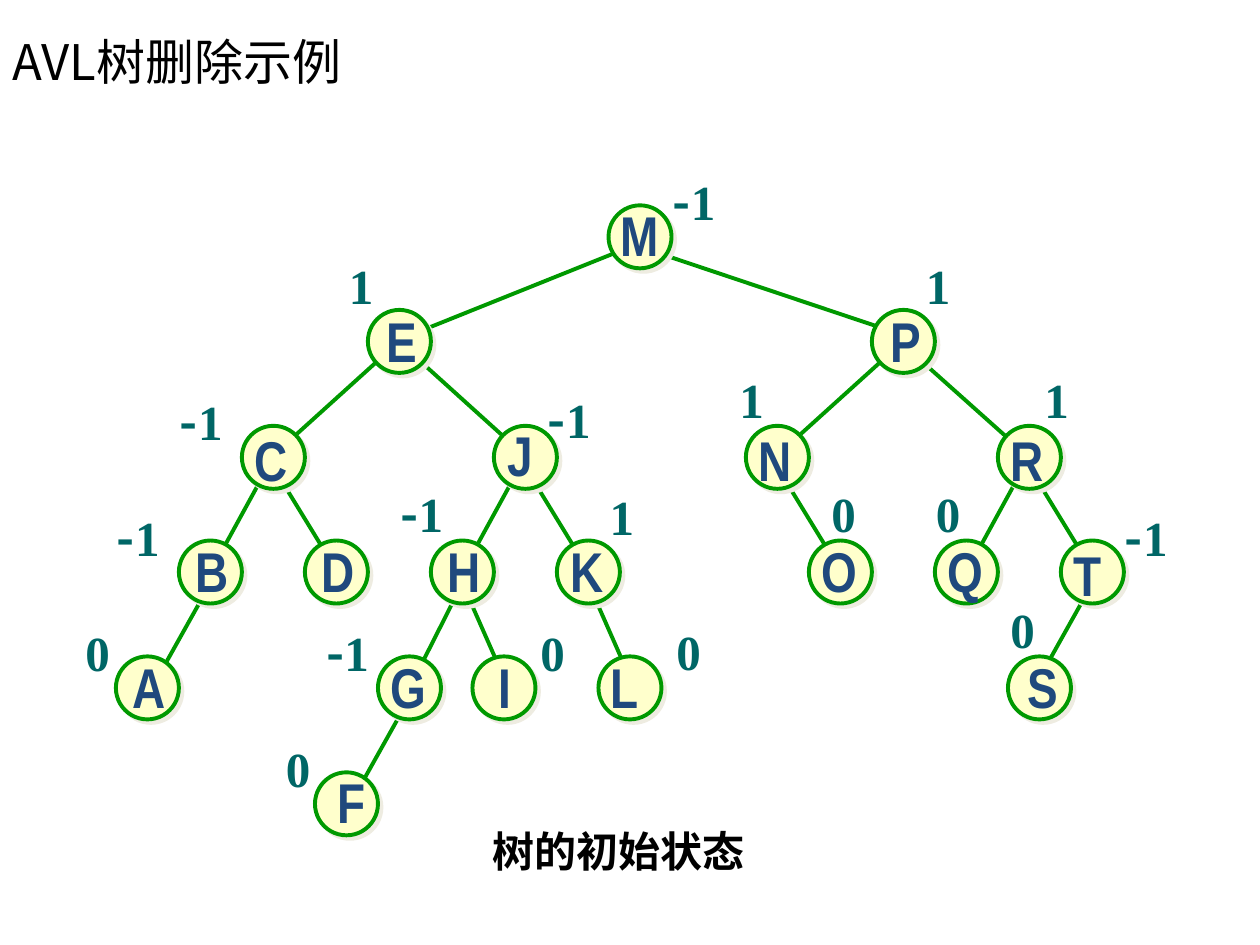
from dataclasses import dataclass
from typing import Optional

from lxml import etree
from pptx import Presentation
from pptx.dml.color import RGBColor
from pptx.enum import shapes, text
from pptx.oxml import ns
from pptx.util import Inches, Pt


@dataclass(frozen=True)
class Theme:
    edge: str = "009900"
    node: str = "FFFFCC"
    shadow: str = "EEECE1"
    letter: str = "1F497D"
    balance: str = "006666"
    ink: str = "000000"
    letter_font: str = "Arial Narrow"
    digit_font: str = "Times New Roman"
    cjk_font: str = "Noto Sans CJK SC"
    title_font: str = "Noto Sans CJK JP"
    letter_size: int = 32
    medium_size: int = 28
    caption_size: int = 24
    line_width: float = 2.25


@dataclass(frozen=True)
class Node:
    letter: str
    circle: tuple  # left, top
    label: tuple  # left, top, width
    balance: Optional[str] = None
    balance_at: tuple = ()
    edge: tuple = ()  # from x, y to x, y, joining the node to its parent


THEME = Theme()
DIAMETER = 0.5

# The tree, level by level
TREE = [
    Node("M", (4.83, 1.63), (4.83, 1.54, 0.51), "-1", (5.24, 1.31)),
    Node("E", (2.92, 2.46), (2.97, 2.38, 0.44), "1", (2.67, 1.98), (3.33, 2.63, 5, 1.96)),
    Node("P", (6.92, 2.46), (6.97, 2.38, 0.44), "1", (7.25, 1.98), (5.08, 1.96, 7.08, 2.63)),
    Node("C", (1.92, 3.38), (1.92, 3.33, 0.47), "-1", (1.33, 3.06), (2.25, 3.54, 3.08, 2.79)),
    Node("J", (3.92, 3.38), (3.93, 3.29, 0.4), "-1", (4.25, 3.04), (4.08, 3.54, 3.25, 2.79)),
    Node("N", (5.92, 3.38), (5.92, 3.33, 0.47), "1", (5.77, 2.88), (6.25, 3.54, 7.08, 2.79)),
    Node("R", (7.92, 3.38), (7.92, 3.33, 0.47), "1", (8.19, 2.88), (8.17, 3.63, 7.33, 2.88)),
    Node("B", (1.42, 4.29), (1.45, 4.21, 0.47), "-1", (0.83, 3.98), (1.67, 4.54, 2.08, 3.79)),
    Node("D", (2.42, 4.29), (2.45, 4.21, 0.47), edge=(2.17, 3.71, 2.58, 4.38)),
    Node("H", (3.42, 4.29), (3.45, 4.21, 0.47), "-1", (3.08, 3.79), (3.67, 4.54, 4.08, 3.79)),
    Node("K", (4.42, 4.29), (4.43, 4.21, 0.47), "1", (4.74, 3.81), (4.17, 3.71, 4.58, 4.38)),
    Node("O", (6.42, 4.29), (6.42, 4.21, 0.48), "0", (6.5, 3.79), (6.17, 3.71, 6.58, 4.38)),
    Node("Q", (7.42, 4.29), (7.42, 4.21, 0.48), "0", (7.33, 3.79), (7.67, 4.54, 8.08, 3.79)),
    Node("T", (8.42, 4.29), (8.42, 4.24, 0.42), "-1", (8.83, 3.98), (8.17, 3.71, 8.58, 4.38)),
    Node("A", (0.92, 5.21), (0.95, 5.13, 0.47), "0", (0.58, 4.89), (1.25, 5.38, 1.67, 4.63)),
    Node("G", (3, 5.21), (3, 5.13, 0.48), "-1", (2.49, 4.89), (3.25, 5.46, 3.67, 4.63)),
    Node("I", (3.75, 5.21), (3.86, 5.13, 0.3), "0", (4.19, 4.89), (3.67, 4.63, 4, 5.38)),
    Node("L", (4.75, 5.21), (4.75, 5.13, 0.42), "0", (5.27, 4.88), (4.67, 4.63, 5, 5.38)),
    Node("S", (8, 5.21), (8.06, 5.13, 0.44), "0", (7.92, 4.71), (8.25, 5.38, 8.67, 4.63)),
    Node("F", (2.5, 6.13), (2.58, 6.04, 0.42), "0", (2.17, 5.81), (2.83, 6.29, 3.25, 5.54)),
]


def color(code):
    return RGBColor.from_string(code)


def style_line(line):
    line.color.rgb = color(THEME.edge)
    line.width = Pt(THEME.line_width)


def style_span(span, font, size, code, bold=True):
    span.font.size = Pt(size)
    span.font.bold = bold
    span.font.color.rgb = color(code)
    span.font.name = font
    east_asian = etree.SubElement(span.font._element, ns.qn("a:ea"))
    east_asian.set("typeface", font)


def add_edge(group, ends):
    edge = group.shapes.add_connector(
        shapes.MSO_CONNECTOR.STRAIGHT, *[Inches(value) for value in ends])
    style_line(edge.line)
    etree.SubElement(edge._element.spPr, ns.qn("a:effectLst"))


def add_circle(group, left, top):
    circle = group.shapes.add_shape(
        shapes.MSO_SHAPE.OVAL, Inches(left), Inches(top),
        Inches(DIAMETER), Inches(DIAMETER))
    circle.fill.solid()
    circle.fill.fore_color.rgb = color(THEME.node)
    style_line(circle.line)
    # Small shadow down to the right
    circle.shadow.inherit = False
    effects = circle._element.spPr.find(ns.qn("a:effectLst"))
    shadow = etree.SubElement(
        effects, ns.qn("a:outerShdw"), dist=str(Pt(2.8)),
        dir=str(45 * 60000), algn="ctr", rotWithShape="0")
    etree.SubElement(shadow, ns.qn("a:srgbClr"), val=THEME.shadow)


def add_label(parent, area, pieces, size, code):
    """Add a one-line text box from (words, font) pieces."""
    box = parent.shapes.add_textbox(*[Inches(value) for value in area])
    frame = box.text_frame
    frame.word_wrap = False
    frame.auto_size = text.MSO_AUTO_SIZE.SHAPE_TO_FIT_TEXT
    for words, font in pieces:
        span = frame.paragraphs[0].add_run()
        span.text = words
        style_span(span, font, size, code)


def add_balance(group, node):
    width = 0.59 if node.balance.startswith("-") else 0.4
    pieces = [(sign, THEME.cjk_font if sign == "-" else THEME.digit_font)
              for sign in node.balance]
    add_label(group, (*node.balance_at, width, 0.57), pieces,
              THEME.medium_size, THEME.balance)


def add_tree(page):
    group = page.shapes.add_group_shape()
    # Edges lie behind the circles, and letters in front
    for node in TREE:
        if node.edge:
            add_edge(group, node.edge)
    for node in TREE:
        add_circle(group, *node.circle)
    for node in TREE:
        add_label(group, (*node.label, 0.63), [(node.letter, THEME.letter_font)],
                  THEME.letter_size, THEME.letter)
    for node in TREE:
        if node.balance:
            add_balance(group, node)


def set_title(page, words):
    title = page.shapes.title
    title.left, title.top = Inches(0), Inches(-0.03)
    title.width, title.height = Inches(6.42), Inches(1.02)
    frame = title.text_frame
    frame.text = words
    frame.vertical_anchor = text.MSO_ANCHOR.MIDDLE
    para = frame.paragraphs[0]
    para.alignment = text.PP_ALIGN.LEFT
    style_span(para.runs[0], THEME.title_font, THEME.medium_size, THEME.ink, bold=False)


def main():
    deck = Presentation()
    deck.slide_width, deck.slide_height = Inches(10), Inches(7.5)
    page = deck.slides.add_slide(deck.slide_layouts[5])
    set_title(page, "AVL树删除示例")
    add_tree(page)
    # Caption below the tree
    add_label(page, (3.81, 6.5, 2.22, 0.5), [("树的初始状态", THEME.cjk_font)],
              THEME.caption_size, THEME.ink)
    deck.save("out.pptx")


if __name__ == "__main__":
    main()
